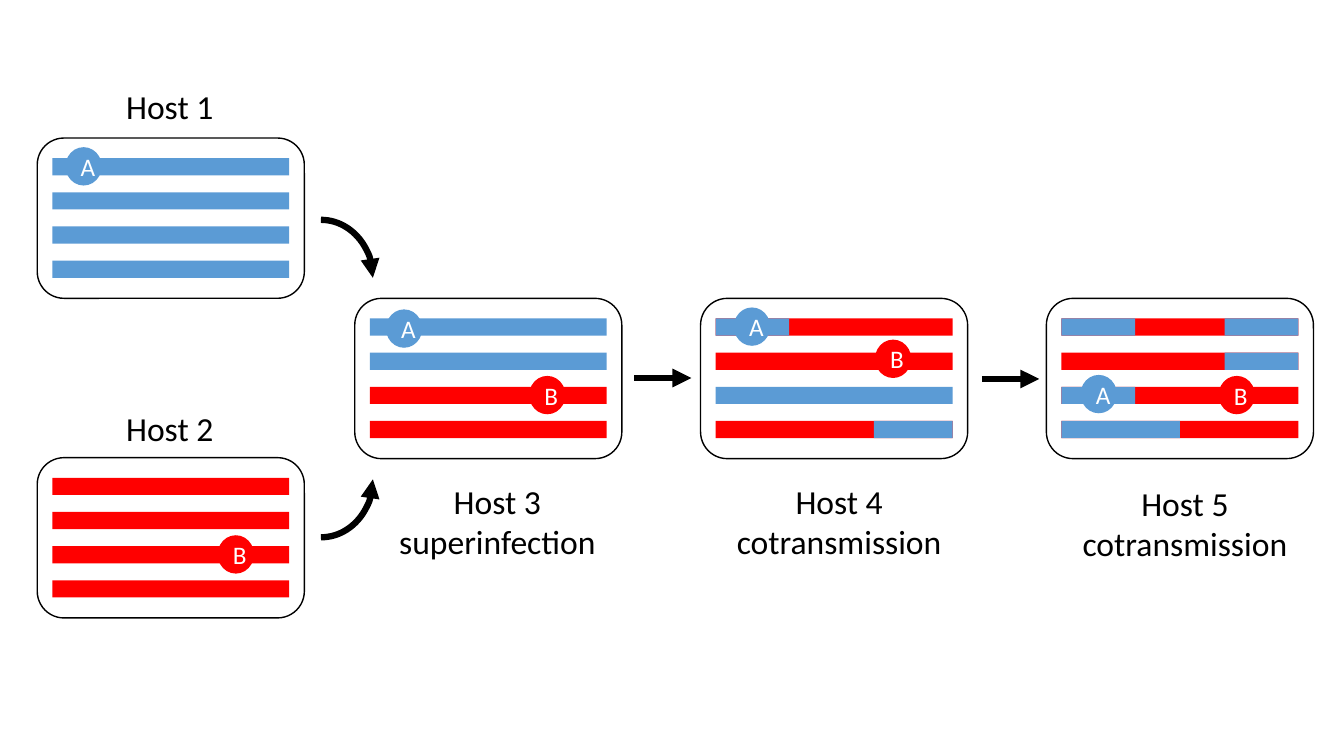
from lxml.etree import SubElement
from pptx import Presentation
from pptx.dml.color import RGBColor
from pptx.enum.shapes import MSO_CONNECTOR, MSO_SHAPE as SHAPE
from pptx.enum.text import MSO_ANCHOR, MSO_AUTO_SIZE, PP_ALIGN
from pptx.oxml.ns import qn
from pptx.util import Pt

BLUE, RED, BLACK, WHITE = "5B9BD5", "FF0000", "000000", "FFFFFF"
MARKER_COLOURS = {"A": BLUE, "B": RED}

# Box and genome bar geometry
BOX_WIDTH, BOX_HEIGHT = 190.8, 114.5
BAR_LEFT, BAR_TOP, BAR_PITCH = 10.8, 14.4, 24.4
BAR_WIDTH, BAR_HEIGHT = 169.2, 12.3
MARKER_WIDTH, MARKER_HEIGHT = 25.9, 27.4
END = 52.6  # length of a short recombinant end

# Each bar: base colour, then blue pieces as (start, length)
# Markers and labels are placed relative to the host box
HOSTS = [
    dict(at=(26.6, 98.6), label=["Host 1"], label_at=(56.2, -41, 77),
         bars=[(BLUE, [])] * 4, markers=[("A", 20.2, 6.5)]),
    dict(at=(26.6, 326.9), label=["Host 2"], label_at=(56.2, -38.9, 77),
         bars=[(RED, [])] * 4, markers=[("B", 128.9, 55.4)]),
    dict(at=(253.4, 213.1), label=["Host 3", "superinfection"], label_at=(23.8, 126.7, 156.2),
         bars=[(BLUE, [])] * 2 + [(RED, [])] * 2,
         markers=[("A", 22.3, 7.9), ("B", 124.6, 55.4)]),
    dict(at=(500.4, 213.1), label=["Host 4", "cotransmission"], label_at=(18, 126.7, 162),
         bars=[(RED, [(0, END)]), (RED, []), (BLUE, []), (RED, [(113, 56.2)])],
         markers=[("A", 23.8, 6.5), ("B", 124.6, 29.5)]),
    dict(at=(747.4, 213.1), label=["Host 5", "cotransmission"], label_at=(18, 128.2, 162),
         bars=[(RED, [(0, END), (BAR_WIDTH - END, END)]), (RED, [(BAR_WIDTH - END, END)]),
               (RED, [(0, END)]), (RED, [(0, BAR_WIDTH / 2)])],
         markers=[("A", 24.5, 54.7), ("B", 123.1, 55.4)]),
]
CURVED_ARROWS = [(157, False), (301, True)]  # top, flipped
CURVE_LEFT, CURVE_WIDTH, CURVE_HEIGHT = 192.2, 74.2, 82.8
STRAIGHT_ARROWS = [(452.9, 270), (701.3, 270.7)]  # left, height on the slide
ARROW_LENGTH, ARROW_WEIGHT = 41, 4.5

presentation = Presentation()
presentation.slide_width, presentation.slide_height = Pt(960), Pt(540)
slide = presentation.slides.add_slide(presentation.slide_layouts[6])


def colour(value):
    return RGBColor.from_string(value)


def add_shape(kind, left, top, width, height, fill=None, line_weight=None):
    shape = slide.shapes.add_shape(kind, Pt(left), Pt(top), Pt(width), Pt(height))
    shape.shadow.inherit = False
    if fill:
        shape.fill.solid()
        shape.fill.fore_color.rgb = colour(fill)
    else:
        shape.fill.background()
    if line_weight:
        style_line(shape, line_weight)
    else:
        shape.line.fill.background()
    return shape


def style_line(shape, weight):
    shape.line.color.rgb = colour(BLACK)
    shape.line.width = Pt(weight)


def add_arrowhead(shape):
    SubElement(shape.line._get_or_add_ln(), qn("a:tailEnd"), type="triangle")


def write(frame, lines, size, font_colour):
    for index, text in enumerate(lines):
        paragraph = frame.add_paragraph() if index else frame.paragraphs[0]
        paragraph.alignment = PP_ALIGN.CENTER
        run = paragraph.add_run()
        run.text = text
        run.font.name, run.font.size = "Calibri", Pt(size)
        run.font.color.rgb = colour(font_colour)


def add_host(at, label, label_at, bars, markers):
    left, top = at
    add_shape(SHAPE.ROUNDED_RECTANGLE, left, top, BOX_WIDTH, BOX_HEIGHT, line_weight=1)

    # Genome bars with their recombinant pieces
    for row, (base, pieces) in enumerate(bars):
        bar_top = top + BAR_TOP + row * BAR_PITCH
        segments = [(0, BAR_WIDTH, base)] + [(*piece, BLUE) for piece in pieces]
        for start, length, fill in segments:
            add_shape(SHAPE.RECTANGLE, left + BAR_LEFT + start, bar_top, length, BAR_HEIGHT, fill)

    # Locus markers
    for letter, x, y in markers:
        marker = add_shape(SHAPE.OVAL, left + x, top + y, MARKER_WIDTH, MARKER_HEIGHT,
                           MARKER_COLOURS[letter])
        marker.text_frame.vertical_anchor = MSO_ANCHOR.MIDDLE
        write(marker.text_frame, [letter], 18, WHITE)

    # Host label
    x, y, width = label_at
    box = slide.shapes.add_textbox(Pt(left + x), Pt(top + y), Pt(width),
                                   Pt(7.2 + 28.8 * len(label) + 14.4 * (len(label) > 1)))
    box.text_frame.word_wrap = False
    box.text_frame.auto_size = MSO_AUTO_SIZE.SHAPE_TO_FIT_TEXT
    write(box.text_frame, label, 24, BLACK)


for host in HOSTS:
    add_host(**host)

# Curved arrows into the superinfected host
for top, flipped in CURVED_ARROWS:
    arc = add_shape(SHAPE.ARC, CURVE_LEFT, top, CURVE_WIDTH, CURVE_HEIGHT,
                    line_weight=ARROW_WEIGHT)
    add_arrowhead(arc)
    if flipped:
        arc.element.spPr.find(qn("a:xfrm")).set("flipV", "1")

# Straight transmission arrows
for left, y in STRAIGHT_ARROWS:
    arrow = slide.shapes.add_connector(MSO_CONNECTOR.STRAIGHT, Pt(left), Pt(y),
                                       Pt(left + ARROW_LENGTH), Pt(y))
    style_line(arrow, ARROW_WEIGHT)
    add_arrowhead(arrow)
    SubElement(arrow.element.spPr, qn("a:effectLst"))

presentation.save("out.pptx")
